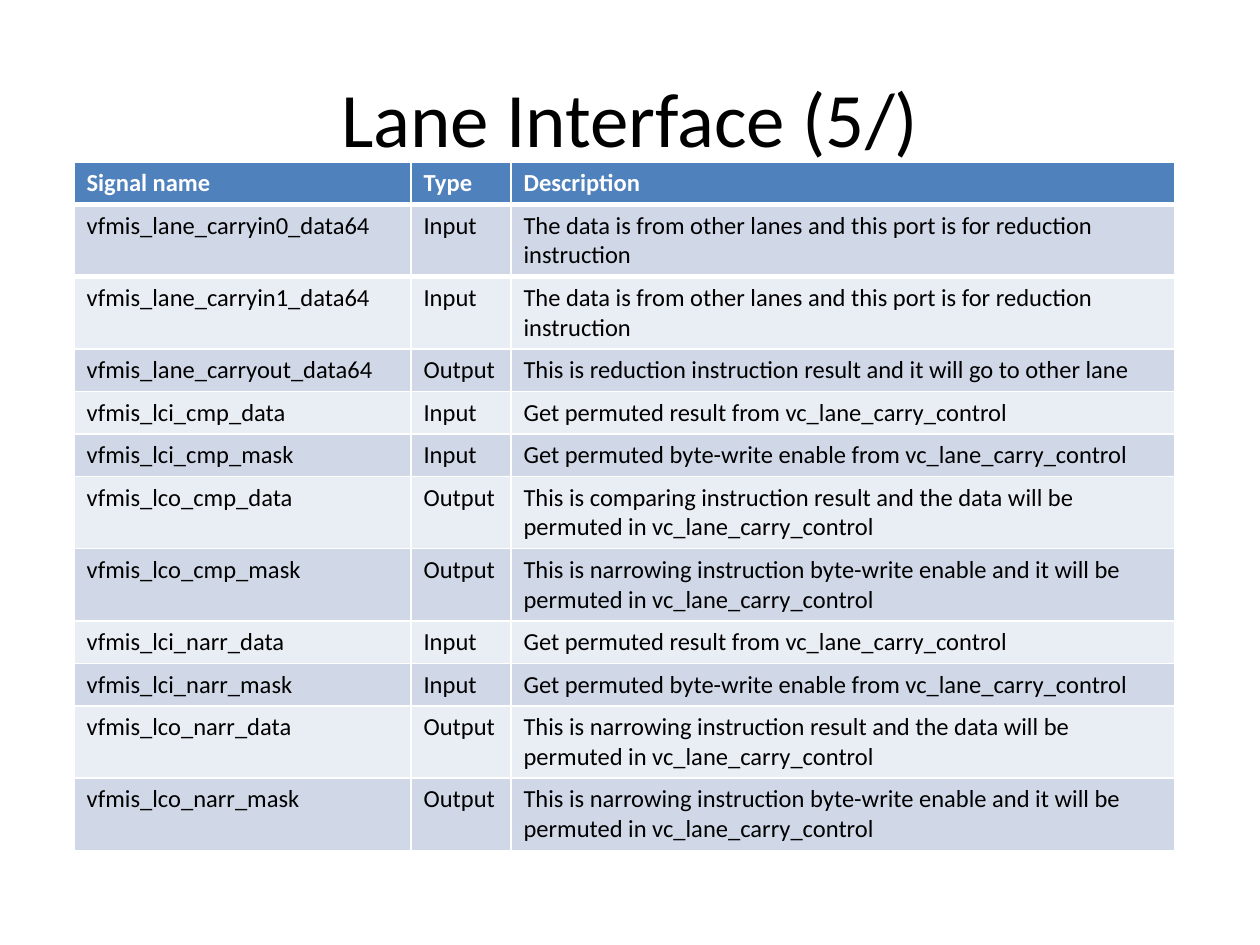
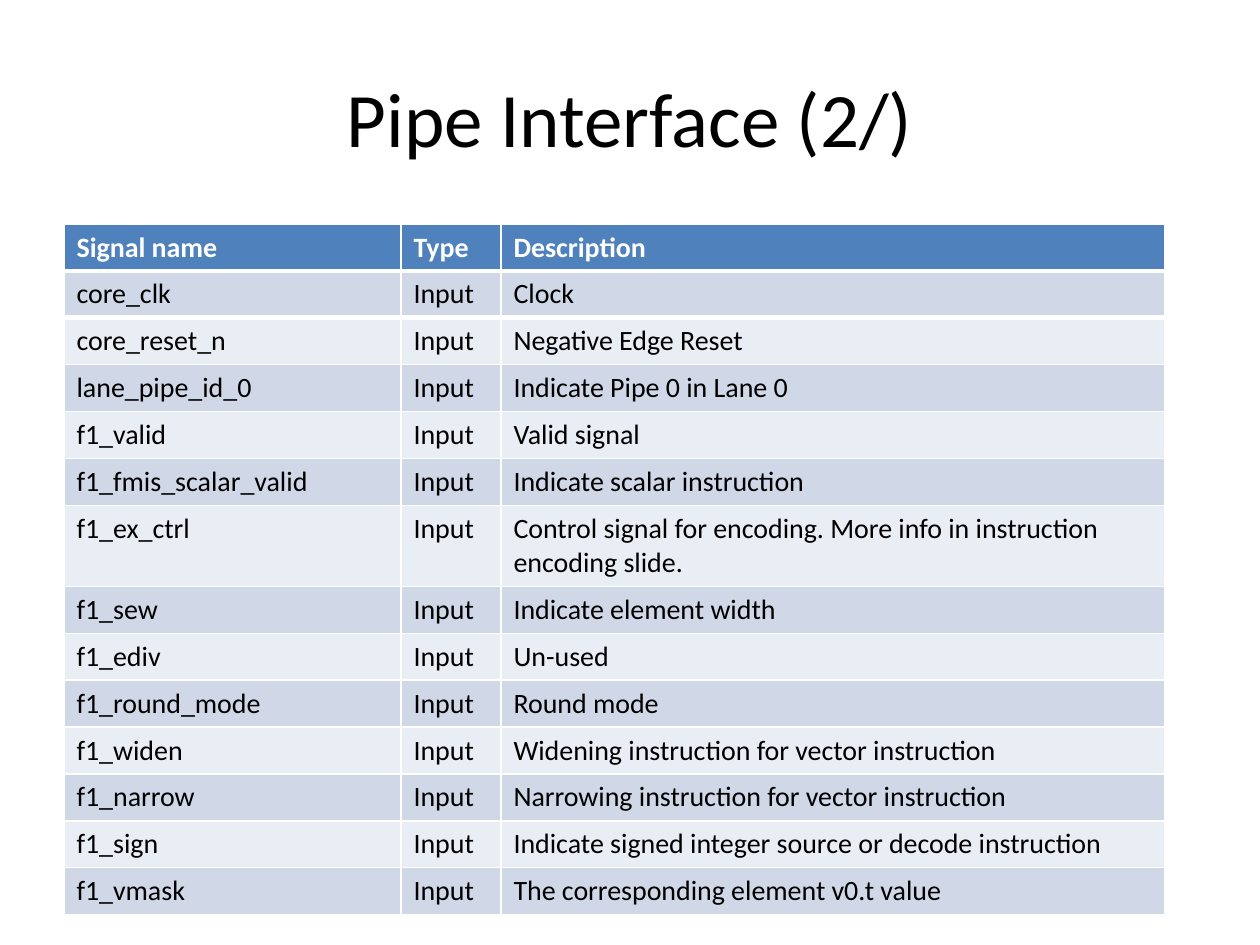
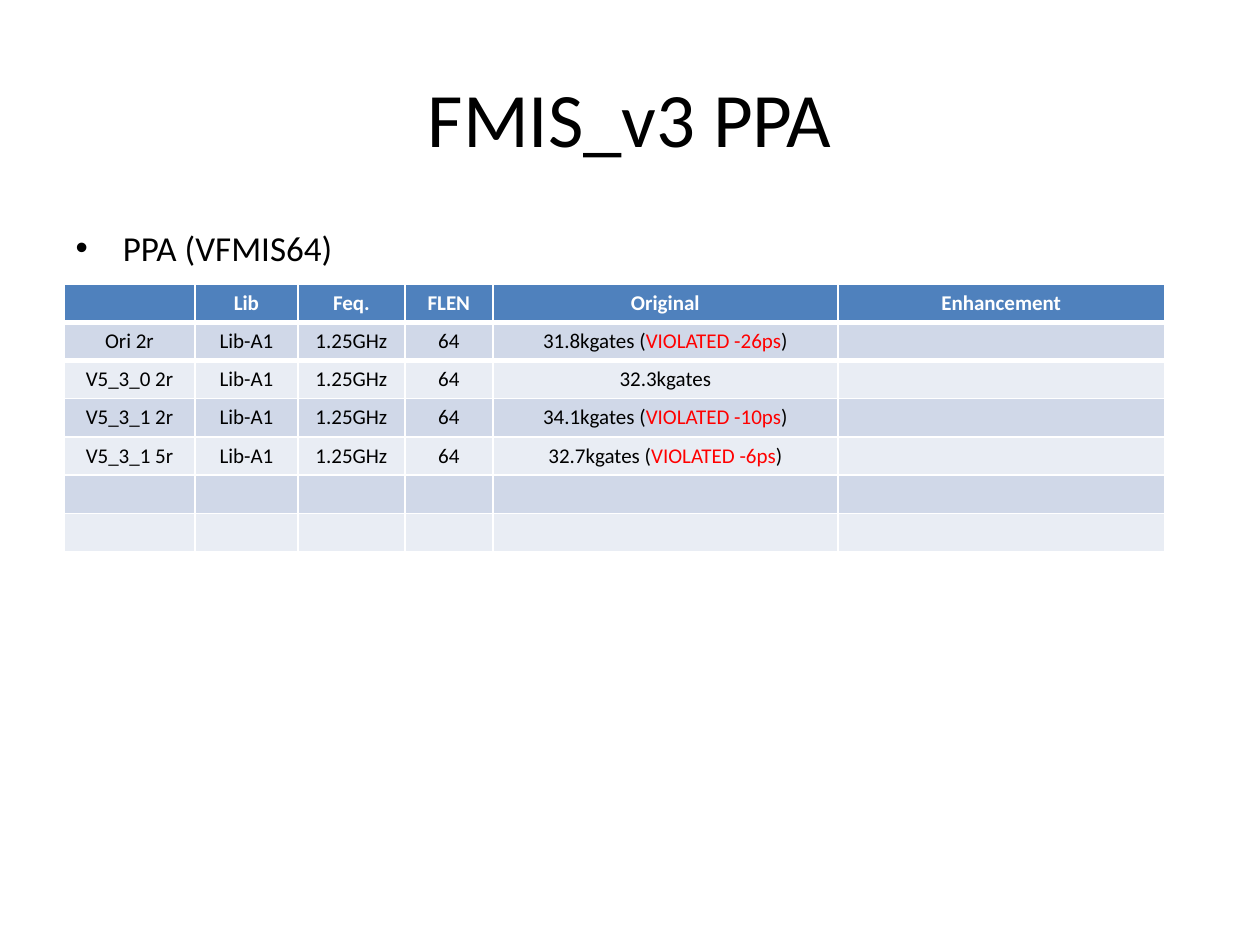
"""Build three slides on FMIS lane and pipe interfaces and PPA results."""
from dataclasses import dataclass

from lxml import etree
from pptx import Presentation
from pptx.dml.color import RGBColor
from pptx.enum.text import MSO_ANCHOR, PP_ALIGN
from pptx.oxml.ns import qn
from pptx.util import Pt

LEFT, CENTER = PP_ALIGN.LEFT, PP_ALIGN.CENTER
MIDDLE = MSO_ANCHOR.MIDDLE
EMU_PER_PX = 914400 / 126
TITLE_ONLY, TITLE_AND_CONTENT = 5, 1


@dataclass(frozen=True)
class Theme:
    font: str = "Calibri"
    ink: RGBColor = RGBColor(0x00, 0x00, 0x00)
    header_ink: RGBColor = RGBColor(0xFF, 0xFF, 0xFF)
    alert: RGBColor = RGBColor(0xFF, 0x00, 0x00)
    header_fill: RGBColor = RGBColor(0x4F, 0x81, 0xBD)
    header_rule: RGBColor = RGBColor(0xFF, 0xFF, 0xFF)
    bands: tuple = (RGBColor(0xE9, 0xED, 0xF4), RGBColor(0xD0, 0xD8, 0xE8))
    title_size: int = 44
    bullet_size: int = 20
    lane_size: int = 14
    pipe_size: int = 16
    ppa_size: int = 12


THEME = Theme()
HEADER_RULE_EDGES = {0: "a:lnB", 1: "a:lnT"}


def px(length):
    return round(length * EMU_PER_PX)


def style(paragraph, size, color, align, bold=False):
    paragraph.alignment = align
    font = paragraph.font
    font.name, font.size, font.bold = THEME.font, Pt(size), bold
    font.color.rgb = color


SIGNAL_HEADER = ("Signal name", "Type", "Description")
SIGNAL_WIDTHS = (337, 100, 664)
PPA_WIDTHS = (131, 103, 107, 88, 345, 327)

CARRY_IN = "The data is from other lanes and this port is for reduction instruction"
PERMUTED_DATA = "Get permuted result from vc_lane_carry_control"
PERMUTED_MASK = "Get permuted byte-write enable from vc_lane_carry_control"
NARROWING_MASK = ("This is narrowing instruction byte-write enable and it will be "
                  "permuted in vc_lane_carry_control")

lane_rows = [
    SIGNAL_HEADER,
    ("vfmis_lane_carryin0_data64", "Input", CARRY_IN),
    ("vfmis_lane_carryin1_data64", "Input", CARRY_IN),
    ("vfmis_lane_carryout_data64", "Output",
     "This is reduction instruction result and it will go to other lane"),
    ("vfmis_lci_cmp_data", "Input", PERMUTED_DATA),
    ("vfmis_lci_cmp_mask", "Input", PERMUTED_MASK),
    ("vfmis_lco_cmp_data", "Output",
     "This is comparing instruction result and the data will be permuted in vc_lane_carry_control"),
    ("vfmis_lco_cmp_mask", "Output", NARROWING_MASK),
    ("vfmis_lci_narr_data", "Input", PERMUTED_DATA),
    ("vfmis_lci_narr_mask", "Input", PERMUTED_MASK),
    ("vfmis_lco_narr_data", "Output",
     "This is narrowing instruction result and the data will be permuted in vc_lane_carry_control"),
    ("vfmis_lco_narr_mask", "Output", NARROWING_MASK),
]

pipe_inputs = [
    ("core_clk", "Clock"),
    ("core_reset_n", "Negative Edge Reset"),
    ("lane_pipe_id_0", "Indicate Pipe 0 in Lane 0"),
    ("f1_valid", "Valid signal"),
    ("f1_fmis_scalar_valid", "Indicate scalar instruction"),
    ("f1_ex_ctrl", "Control signal for encoding. More info in instruction encoding slide."),
    ("f1_sew", "Indicate element width"),
    ("f1_ediv", "Un-used"),
    ("f1_round_mode", "Round mode"),
    ("f1_widen", "Widening instruction for vector instruction"),
    ("f1_narrow", "Narrowing instruction for vector instruction"),
    ("f1_sign", "Indicate signed integer source or decode instruction"),
    ("f1_vmask", "The corresponding element v0.t value"),
]
pipe_rows = [SIGNAL_HEADER] + [(signal, "Input", use) for signal, use in pipe_inputs]

ppa_results = [
    ("Ori 2r", ("31.8kgates (", "VIOLATED -26ps", ")")),
    ("V5_3_0 2r", ("32.3kgates",)),
    ("V5_3_1 2r", ("34.1kgates (", "VIOLATED -10ps", ")")),
    ("V5_3_1 5r", ("32.7kgates (", "VIOLATED -6ps", ")")),
]
ppa_rows = [("", "Lib", "Feq.", "FLEN", "Original", "Enhancement")]
ppa_rows += [(version, "Lib-A1", "1.25GHz", "64", gates, "") for version, gates in ppa_results]
ppa_rows += [("",) * len(PPA_WIDTHS)] * 2

pages = [
    ("Lane Interface (5/)", None, lane_rows, SIGNAL_WIDTHS, (74, 162), 32, THEME.lane_size, LEFT),
    ("Pipe Interface (2/)", None, pipe_rows, SIGNAL_WIDTHS, (64, 224), 32, THEME.pipe_size, LEFT),
    ("FMIS_v3 PPA", "PPA (VFMIS64)", ppa_rows, PPA_WIDTHS, (64, 284), 38, THEME.ppa_size, CENTER),
]

deck = Presentation()
deck.slide_width, deck.slide_height = px(1260), px(945)

for heading, bullet, rows, widths, (left, top), row_height, size, align in pages:
    layout = deck.slide_layouts[TITLE_AND_CONTENT if bullet else TITLE_ONLY]
    slide = deck.slides.add_slide(layout)

    title = slide.shapes.title
    title.left, title.top, title.width, title.height = px(63), px(38), px(1134), px(157)
    title.text_frame.text = heading
    title.text_frame.vertical_anchor = MIDDLE
    style(title.text_frame.paragraphs[0], THEME.title_size, THEME.ink, CENTER)

    if bullet:
        body = slide.placeholders[1]
        body.left, body.top, body.width, body.height = px(63), px(220), px(1134), px(624)
        body.text_frame.text = bullet
        topic = body.text_frame.paragraphs[0]
        topic.space_before = Pt(0)
        style(topic, THEME.bullet_size, THEME.ink, LEFT)

    table = slide.shapes.add_table(len(rows), len(widths), px(left), px(top),
                                   px(sum(widths)), px(row_height * len(rows))).table
    for column, width in zip(table.columns, widths):
        column.width = px(width)

    for row_index, values in enumerate(rows):
        is_header = row_index == 0
        table.rows[row_index].height = px(row_height)
        for column_index, value in enumerate(values):
            cell = table.cell(row_index, column_index)
            cell.fill.solid()
            cell.fill.fore_color.rgb = THEME.header_fill if is_header else THEME.bands[row_index % 2]
            if row_index in HEADER_RULE_EDGES:
                rule = etree.Element(qn(HEADER_RULE_EDGES[row_index]), w=str(Pt(3)))
                rule_fill = etree.SubElement(rule, qn("a:solidFill"))
                etree.SubElement(rule_fill, qn("a:srgbClr"), val=str(THEME.header_rule))
                cell._tc.get_or_add_tcPr().insert(0, rule)
            entry = cell.text_frame.paragraphs[0]
            style(entry, size, THEME.header_ink if is_header else THEME.ink, align, is_header)
            if not value:
                etree.SubElement(entry._p, qn("a:endParaRPr"), sz=str(size * 100))
                continue
            pieces = (value,) if isinstance(value, str) else value
            for piece_index, piece in enumerate(pieces):
                run = entry.add_run()
                run.text = piece
                if piece_index == 1:
                    run.font.color.rgb = THEME.alert

deck.save("out.pptx")
